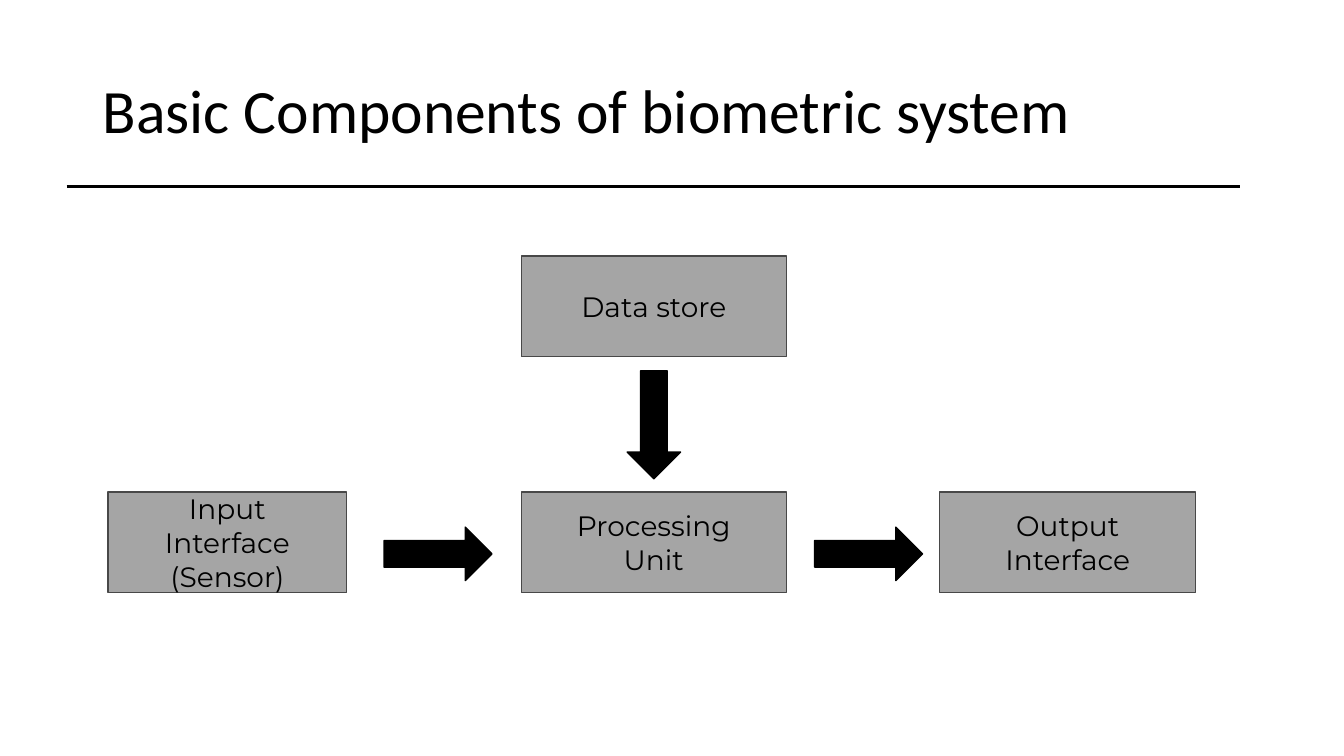
from lxml.etree import SubElement
from pptx import Presentation
from pptx.dml.color import RGBColor
from pptx.enum.shapes import MSO_CONNECTOR as Connector, MSO_SHAPE as Preset
from pptx.enum.text import MSO_ANCHOR as Anchor, PP_ALIGN as Align
from pptx.oxml.ns import qn
from pptx.util import Inches, Pt

COLORS = {"ink": "000000", "box": "A5A5A5", "edge": "484848"}
BOX_HEIGHT = 1
LOWER_ROW = 4.88
CENTER_LEFT, CENTER_WIDTH = 5.17, 2.63
COMPONENTS = [
    (CENTER_LEFT, 2.54, CENTER_WIDTH, ["Data store"]),
    (1.07, LOWER_ROW, 2.37, ["Input", "Interface", "(Sensor)"]),
    (CENTER_LEFT, LOWER_ROW, CENTER_WIDTH, ["Processing", "Unit"]),
    (9.32, LOWER_ROW, 2.54, ["Output", "Interface"]),
]
FLOWS = [(3.81, 5.23, 0), (8.08, 5.23, 0), (5.95, 3.95, 90)]


def color(name):
    return RGBColor.from_string(COLORS[name])


def add_run(paragraph, text, font, size):
    run = paragraph.add_run()
    run.text = text
    run.font.name = font
    run.font.size = Pt(size)
    run.font.color.rgb = color("ink")


def add_title(slide, text):
    title = slide.shapes.add_textbox(Inches(0.92), Inches(0.4), Inches(11.5), Inches(1.45))
    frame = title.text_frame
    frame.word_wrap = True
    frame.vertical_anchor = Anchor.MIDDLE
    heading = frame.paragraphs[0]
    heading.line_spacing = 0.9
    add_run(heading, text, "Calibri", 44)


def add_rule(slide, left, right, top):
    rule = slide.shapes.add_connector(
        Connector.STRAIGHT, Inches(left), Inches(top), Inches(right), Inches(top))
    rule.line.color.rgb = color("ink")
    rule.line.width = Pt(1.5)
    SubElement(rule.line._get_or_add_ln().getparent(), qn("a:effectLst"))


def add_filled(slide, preset, left, top, width, height, fill, edge):
    block = slide.shapes.add_shape(
        preset, Inches(left), Inches(top), Inches(width), Inches(height))
    block.shadow.inherit = False
    block.fill.solid()
    block.fill.fore_color.rgb = color(fill)
    block.line.color.rgb = color(edge)
    block.line.width = Pt(1)
    return block


def add_component(slide, left, top, width, lines):
    component = add_filled(
        slide, Preset.RECTANGLE, left, top, width, BOX_HEIGHT, "box", "edge")
    frame = component.text_frame
    frame.word_wrap = True
    frame.vertical_anchor = Anchor.MIDDLE
    for index, line in enumerate(lines):
        label = frame.add_paragraph() if index else frame.paragraphs[0]
        label.alignment = Align.CENTER
        add_run(label, line, "Montserrat", 20)


def add_flow(slide, left, top, rotation):
    flow = add_filled(slide, Preset.RIGHT_ARROW, left, top, 1.07, 0.53, "ink", "ink")
    flow.rotation = rotation


def main():
    deck = Presentation()
    deck.slide_width, deck.slide_height = Inches(13.33), Inches(7.5)
    slide = deck.slides.add_slide(deck.slide_layouts[6])
    add_title(slide, "Basic Components of biometric system")
    for component in COMPONENTS:
        add_component(slide, *component)
    for flow in FLOWS:
        add_flow(slide, *flow)
    add_rule(slide, 0.66, 12.3, 1.85)
    deck.save("out.pptx")


if __name__ == "__main__":
    main()
